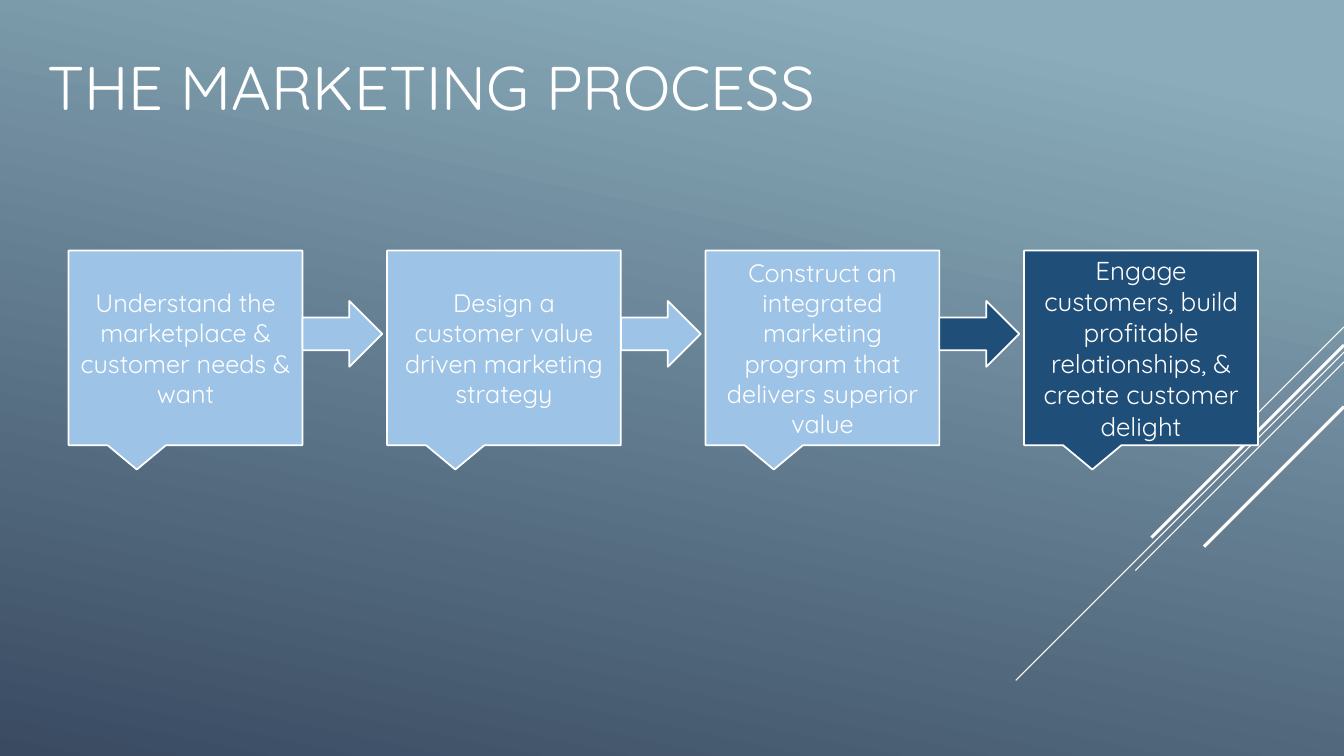
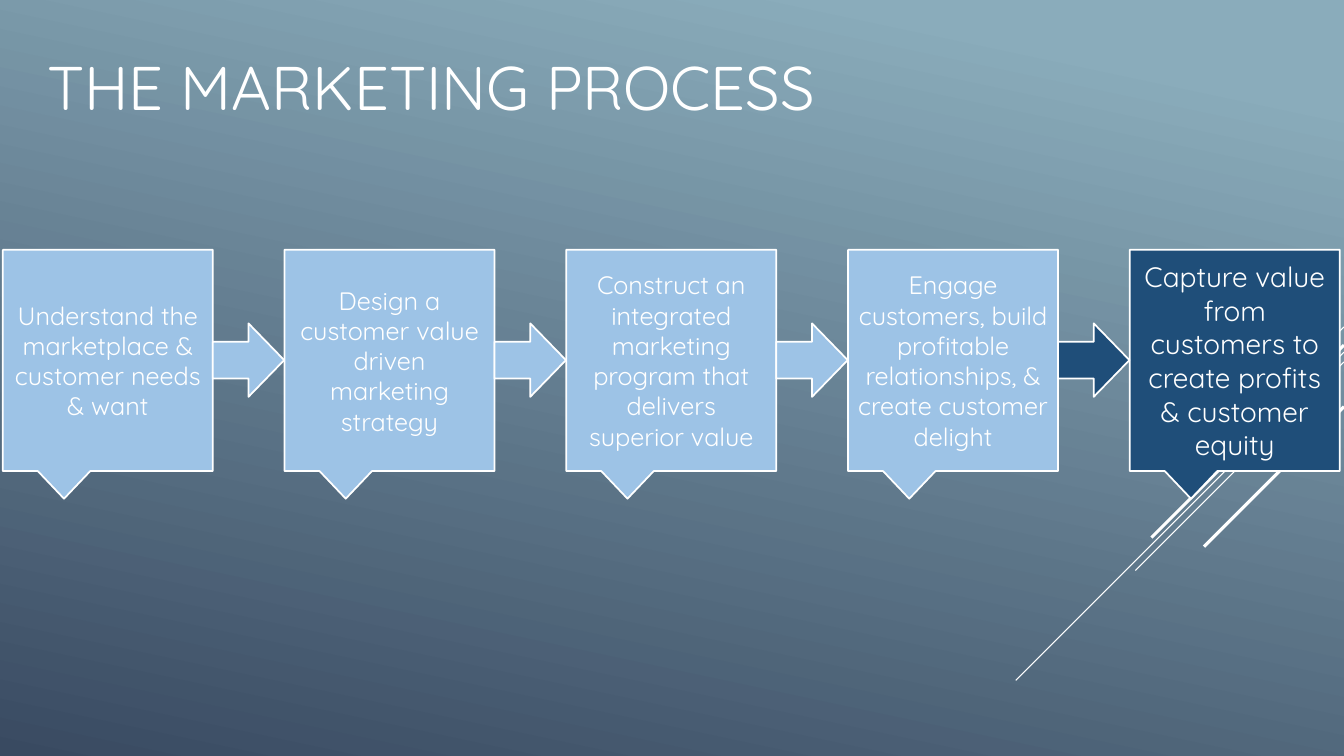
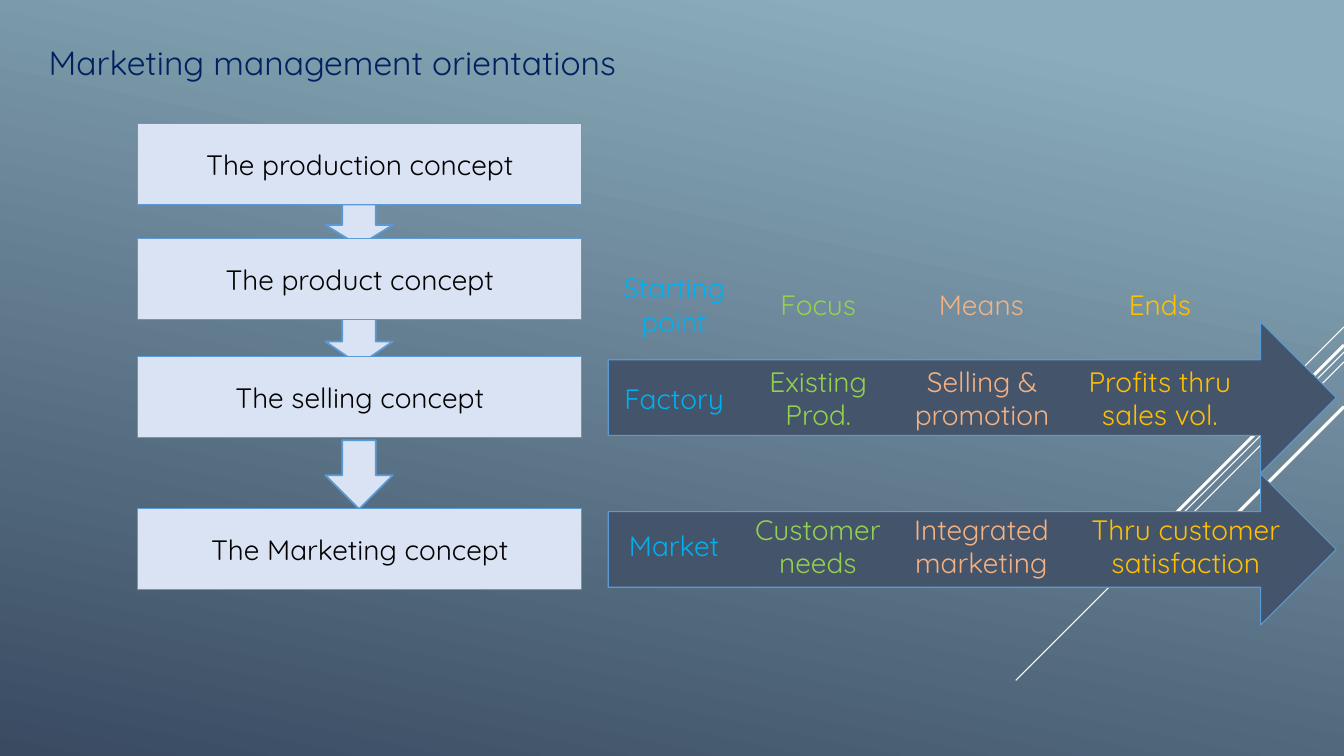
from pptx import Presentation
from pptx.dml.color import RGBColor
from pptx.enum.shapes import MSO_CONNECTOR, MSO_SHAPE as Preset
from pptx.enum.text import MSO_ANCHOR as Anchor, MSO_AUTO_SIZE as AutoSize, PP_ALIGN as Align
from pptx.oxml.ns import qn
from pptx.util import Pt
from lxml.etree import SubElement

FONT = "Quicksand"
WHITE, BLACK, NAVY = "FFFFFF", "000000", "002060"
SKY, DEEP_BLUE, PALE, SLATE, EDGE = "9DC3E6", "1F4E79", "DAE3F3", "44546A", "5B9BD5"
BACKDROP = ((0.1, "8AACBB"), (1, "394A61"))
PAGE_WIDTH, PAGE_HEIGHT = 960, 540
RAYS = ((233.5, 72, 0.75), (251.5, 234.5, 0.75), (258.5, 149, 0.75),
        (246.5, 137.5, 2.25), (290.5, 100, 2.25))

STEPS = ("Understand the marketplace & customer needs & want",
         "Design a customer value driven marketing strategy",
         "Construct an integrated marketing program that delivers superior value",
         "Engage customers, build profitable relationships, & create customer delight",
         "Capture value from customers to create profits & customer equity")

CONCEPTS = (("The production concept", 88.5), ("The product concept", 170.5),
            ("The selling concept", 255), ("The Marketing concept", 363.5))
CONCEPT_ARROWS = ((146, 29.5), (227.5, 33), (314.5, 49))
COLUMN_COLORS = ("00B0F0", "92D050", "F4B183", "FFC000")
COMPARISON = (
    (194.5, (("Starting point", 427, 109), ("Focus", 530, 109),
             ("Means", 646.5, 109), ("Ends", 774, 109))),
    (261.5, (("Factory", 427, 109), ("Existing Prod.", 530, 109),
             ("Selling & promotion", 641.5, 120), ("Profits thru sales vol.", 764.5, 128))),
    (367, (("Market", 427, 109), ("Customer needs", 527, 114.5),
           ("Integrated marketing", 636.5, 129), ("Thru customer satisfaction", 764.5, 165))),
)


def rgb(color):
    """Turn a hex string into a colour."""
    return RGBColor.from_string(color)


def write(frame, text, size=20, color=WHITE, align=Align.CENTER, anchor=Anchor.MIDDLE):
    """Put formatted text into a text frame."""
    frame.word_wrap = True
    frame.auto_size = AutoSize.NONE
    frame.vertical_anchor = anchor
    paragraph = frame.paragraphs[0]
    paragraph.alignment = align
    run = paragraph.add_run()
    run.text = text
    run.font.name = FONT
    run.font.size = Pt(size)
    run.font.color.rgb = rgb(color)


class Deck:
    """Holds the shared style and the current slide."""

    def __init__(self):
        """Set the page size and the gradient behind all slides."""
        self.file = Presentation()
        self.file.slide_width, self.file.slide_height = Pt(PAGE_WIDTH), Pt(PAGE_HEIGHT)
        fill = self.file.slide_master.background.fill
        fill.gradient()
        fill.gradient_angle = 258
        for stop, (position, color) in zip(fill.gradient_stops, BACKDROP):
            stop.position = position
            stop.color.rgb = rgb(color)

    def start(self, title, left, top, width, **style):
        """Begin a slide with its title and the diagonal rays."""
        self.slide = self.file.slides.add_slide(self.file.slide_layouts[5])
        heading = self.slide.shapes.title
        heading.left, heading.top, heading.width, heading.height = map(Pt, (left, top, width, 57.5))
        write(heading.text_frame, title, align=Align.LEFT, **style)
        for top, run, weight in RAYS:
            self.line(PAGE_WIDTH, top, PAGE_WIDTH - run, top + run, weight)

    def line(self, x1, y1, x2, y2, weight, color=WHITE):
        """Draw a straight line without a shadow."""
        ray = self.slide.shapes.add_connector(MSO_CONNECTOR.STRAIGHT, *map(Pt, (x1, y1, x2, y2)))
        ray.line.color.rgb = rgb(color)
        ray.line.width = Pt(weight)
        SubElement(ray._element.spPr, qn("a:effectLst"))

    def shape(self, preset, left, top, width, height, fill=None, line=None, weight=1.25,
              text=None, **style):
        """Draw a preset shape, with text if given."""
        box = self.slide.shapes.add_shape(preset, *map(Pt, (left, top, width, height)))
        box.shadow.inherit = False
        if fill:
            box.fill.solid()
            box.fill.fore_color.rgb = rgb(fill)
        else:
            box.fill.background()
        if line:
            box.line.color.rgb = rgb(line)
            box.line.width = Pt(weight)
        else:
            box.line.fill.background()
        if text:
            write(box.text_frame, text, **style)

    def process(self, steps, left, pitch, top, box, arrow, drop, last_size):
        """Draw a row of callouts joined by arrows, the last one highlighted."""
        self.start("THE MARKETING PROCESS", 26.5, 32.5, 754, size=44)
        for index, step in enumerate(steps):
            last = index == len(steps) - 1
            fill = DEEP_BLUE if last else SKY
            x = left + index * pitch
            self.shape(Preset.RECTANGULAR_CALLOUT, x, top, *box, fill=fill, line=WHITE,
                       text=step, size=last_size if last else 18)
            if index:
                self.shape(Preset.RIGHT_ARROW, x - pitch + box[0], top + drop, *arrow,
                           fill=fill, line=WHITE)

    def orientations(self):
        """Draw the concepts and the comparison of selling with marketing."""
        self.start("Marketing management orientations", 27.5, 26.5, 876, size=24,
                   color=NAVY, anchor=Anchor.TOP)
        for top, height in CONCEPT_ARROWS:
            self.shape(Preset.DOWN_ARROW, 232.5, top, 48, height, fill=PALE, line=EDGE)
        for concept, top in CONCEPTS:
            self.shape(Preset.RECTANGLE, 98.5, top, 317, 57.5, fill=PALE, line=EDGE,
                       weight=0.75, text=concept, color=BLACK)
        for top in (230, 338.5):
            self.shape(Preset.RIGHT_ARROW, 434.5, top, 520, 108, fill=SLATE, line=EDGE,
                       weight=0.75)
        for top, cells in COMPARISON:
            for (label, left, width), color in zip(cells, COLUMN_COLORS):
                self.shape(Preset.ROUNDED_RECTANGLE, left, top, width, 45.5,
                           text=label, color=color)


def main():
    """Build the three slides and save them."""
    deck = Deck()
    deck.process(STEPS[:4], left=49, pitch=227.5, top=179, box=(167, 139),
                 arrow=(57, 47), drop=36, last_size=18.5)
    deck.process(STEPS, left=2, pitch=201.25, top=178.5, box=(150, 158),
                 arrow=(51, 52.5), drop=52.5, last_size=20)
    deck.orientations()
    deck.file.save("out.pptx")


if __name__ == "__main__":
    main()
